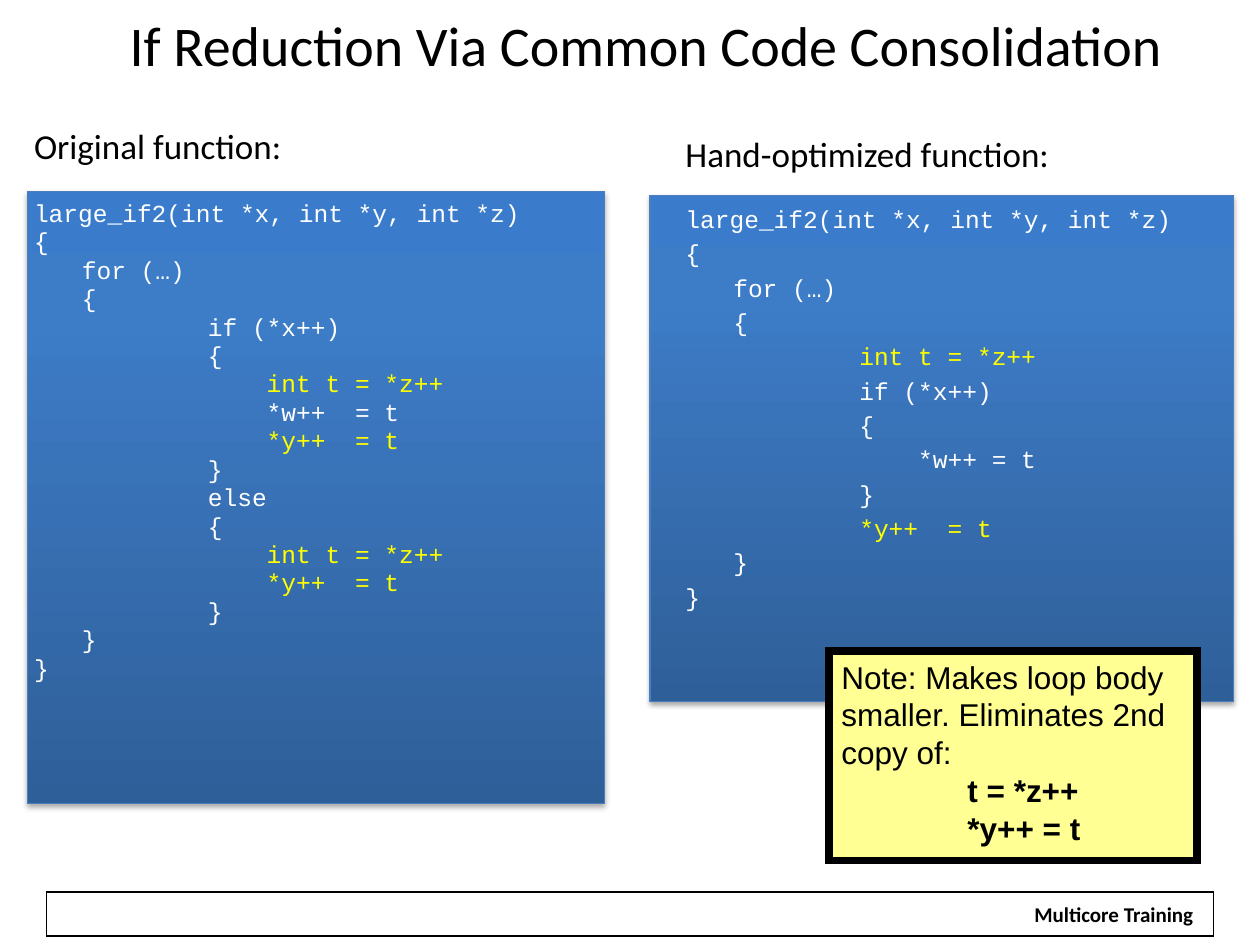
from copy import deepcopy

from lxml import etree
from pptx import Presentation
from pptx.dml.color import RGBColor
from pptx.enum.shapes import MSO_SHAPE
from pptx.enum.text import MSO_ANCHOR, MSO_AUTO_SIZE, PP_ALIGN
from pptx.oxml import parse_xml
from pptx.oxml.ns import nsdecls, qn
from pptx.util import Inches, Pt

RECTANGLE = MSO_SHAPE.RECTANGLE
TOP, MIDDLE = MSO_ANCHOR.TOP, MSO_ANCHOR.MIDDLE
LEFT, CENTER = PP_ALIGN.LEFT, PP_ALIGN.CENTER
NO_AUTOFIT = MSO_AUTO_SIZE.NONE

BLACK = RGBColor(0, 0, 0)
WHITE = RGBColor(255, 255, 255)
YELLOW = RGBColor(255, 255, 0)
NOTE_YELLOW = RGBColor(0xFF, 0xFF, 0x93)
PANEL_LINE = RGBColor(0x4B, 0x7E, 0xBC)
PANEL_STOPS = [
    (0, RGBColor(0x2F, 0x5F, 0x99)),
    (0.8, RGBColor(0x3D, 0x7C, 0xC7)),
    (1, RGBColor(0x3A, 0x7C, 0xCB)),
]
PANEL_SHADOW = (
    f'<a:effectLst {nsdecls("a")}>'
    '<a:outerShdw blurRad="39370" dist="22860" dir="5400000" rotWithShape="0">'
    '<a:srgbClr val="000000"><a:alpha val="35000"/></a:srgbClr>'
    '</a:outerShdw></a:effectLst>'
)

SANS, NOTE_FONT, MONO = "Calibri", "Arial", "Courier New"
INDENT = Inches(0.38)
TAB_WIDTH = Inches(1)

# The lines shared by both versions of the function are highlighted.
READ_Z = "int t = *z++"
WRITE_Y = "*y++  = t"

ORIGINAL_CODE = """large_if2(int *x, int *y, int *z)
{
\tfor (…)
\t{
\t\tif (*x++)
\t\t{
\t\t    int t = *z++
\t\t    *w++  = t
\t\t    *y++  = t
\t\t}
\t\telse
\t\t{
\t\t    int t = *z++
\t\t    *y++  = t
\t\t}
\t}
}"""

OPTIMIZED_CODE = """large_if2(int *x, int *y, int *z)
{
\tfor (…)
\t{
\t\tint t = *z++
\t\tif (*x++)
\t\t{
\t\t    *w++ = t
\t\t}
\t\t*y++  = t
\t}
}"""


class SlideBuilder:
    def __init__(self, slide):
        self.slide = slide

    def set_font(self, para, name, size, color, bold=False):
        font = para.font
        font.name, font.size, font.bold = name, Pt(size), bold
        font.color.rgb = color

    def set_tab_width(self, para):
        para._p.get_or_add_pPr().set("defTabSz", str(TAB_WIDTH))

    def rectangle(self, left, top, width, height, fill=None, line=None, line_width=0.75):
        box = self.slide.shapes.add_shape(
            RECTANGLE, Inches(left), Inches(top), Inches(width), Inches(height))
        box.shadow.inherit = False
        if fill is None:
            box.fill.background()
        else:
            box.fill.solid()
            box.fill.fore_color.rgb = fill
        if line is None:
            box.line.fill.background()
        else:
            box.line.color.rgb = line
            box.line.width = Pt(line_width)
            outline = box._element.spPr.find(qn("a:ln"))
            etree.SubElement(outline, qn("a:miter")).set("lim", "800000")
        return box

    def panel(self, left, top, width, height):
        """Draw a shadowed gradient panel that sits behind a code listing."""
        panel = self.rectangle(left, top, width, height, line=PANEL_LINE)
        panel.fill.gradient()
        panel.fill.gradient_angle = 90
        properties = panel._element.spPr
        stop_list = properties.find(".//" + qn("a:gsLst"))
        stop_list.append(deepcopy(stop_list[-1]))
        for stop, (position, color) in zip(panel.fill.gradient_stops, PANEL_STOPS):
            stop.position = position
            stop.color.rgb = color
        properties.replace(properties.find(qn("a:effectLst")), parse_xml(PANEL_SHADOW))

    def placeholder(self, index, left, top, width, height, anchor):
        """Move a template placeholder into place, in front of earlier shapes."""
        box = self.slide.placeholders[index]
        box.left, box.top = Inches(left), Inches(top)
        box.width, box.height = Inches(width), Inches(height)
        self.slide.shapes._spTree.append(box._element)
        frame = box.text_frame
        frame.auto_size = NO_AUTOFIT
        frame.vertical_anchor = anchor
        return frame

    def title(self, text):
        para = self.placeholder(0, 0.43, 0, 9.4, 0.7, MIDDLE).paragraphs[0]
        para.text = text
        para.alignment = CENTER
        self.set_font(para, SANS, 32, BLACK)

    def listing(self, index, position, heading, code, line_spacing, heading_gap):
        """Fill a body placeholder with a heading and the code below it."""
        frame = self.placeholder(index, *position, TOP)
        frame.text = "\n".join([heading, code])
        for number, para in enumerate(frame.paragraphs):
            self.set_tab_width(para)
            properties = para._p.get_or_add_pPr()
            properties.set("marL", str(INDENT))
            properties.set("indent", str(-INDENT))
            etree.SubElement(properties, qn("a:buNone"))
            para.line_spacing = line_spacing
            if number == 0:
                para.space_before = Pt(0)
                self.set_font(para, SANS, 20, BLACK)
            else:
                para.space_before = Pt(heading_gap if number == 1 else 2.8)
                shared = para.text.strip() in (READ_Z, WRITE_Y)
                self.set_font(para, MONO, 14, YELLOW if shared else WHITE)

    def note(self, left, top, width, height, message, code_lines):
        box = self.rectangle(left, top, width, height, NOTE_YELLOW, BLACK, 4.5)
        frame = box.text_frame
        frame.word_wrap = True
        frame.vertical_anchor = TOP
        frame.text = "\n".join([message] + ["\t" + line for line in code_lines])
        for number, para in enumerate(frame.paragraphs):
            self.set_tab_width(para)
            para.alignment = LEFT
            self.set_font(para, NOTE_FONT, 18, BLACK, bold=number > 0)

    def footer(self, text):
        self.rectangle(0.37, 7.08, 9.26, 0.35, line=BLACK)
        label = self.rectangle(8.1, 7.11, 1.48, 0.3, fill=WHITE)
        frame = label.text_frame
        frame.word_wrap = False
        frame.vertical_anchor = TOP
        para = frame.paragraphs[0]
        para.text = text
        para.alignment = CENTER
        self.set_font(para, SANS, 12, BLACK, bold=True)


def main():
    deck = Presentation()
    deck.slide_width, deck.slide_height = Inches(10), Inches(7.5)
    page = SlideBuilder(deck.slides.add_slide(deck.slide_layouts.get_by_name("Two Content")))

    page.footer("Multicore Training")
    page.panel(5.16, 1.55, 4.63, 4.02)
    page.panel(0.22, 1.52, 4.58, 4.86)
    page.title("If Reduction Via Common Code Consolidation")
    page.listing(1, (0.17, 1, 4.71, 6), "Original function:", ORIGINAL_CODE, 0.8, 21.5)
    page.listing(2, (5.34, 1, 4.66, 4.58), "Hand-optimized function:", OPTIMIZED_CODE, 1, 17)
    page.note(6.58, 5.17, 2.92, 1.66,
              "Note: Makes loop body smaller. Eliminates 2nd copy of:",
              ["t = *z++", "*y++ = t"])
    deck.save("out.pptx")


if __name__ == "__main__":
    main()
